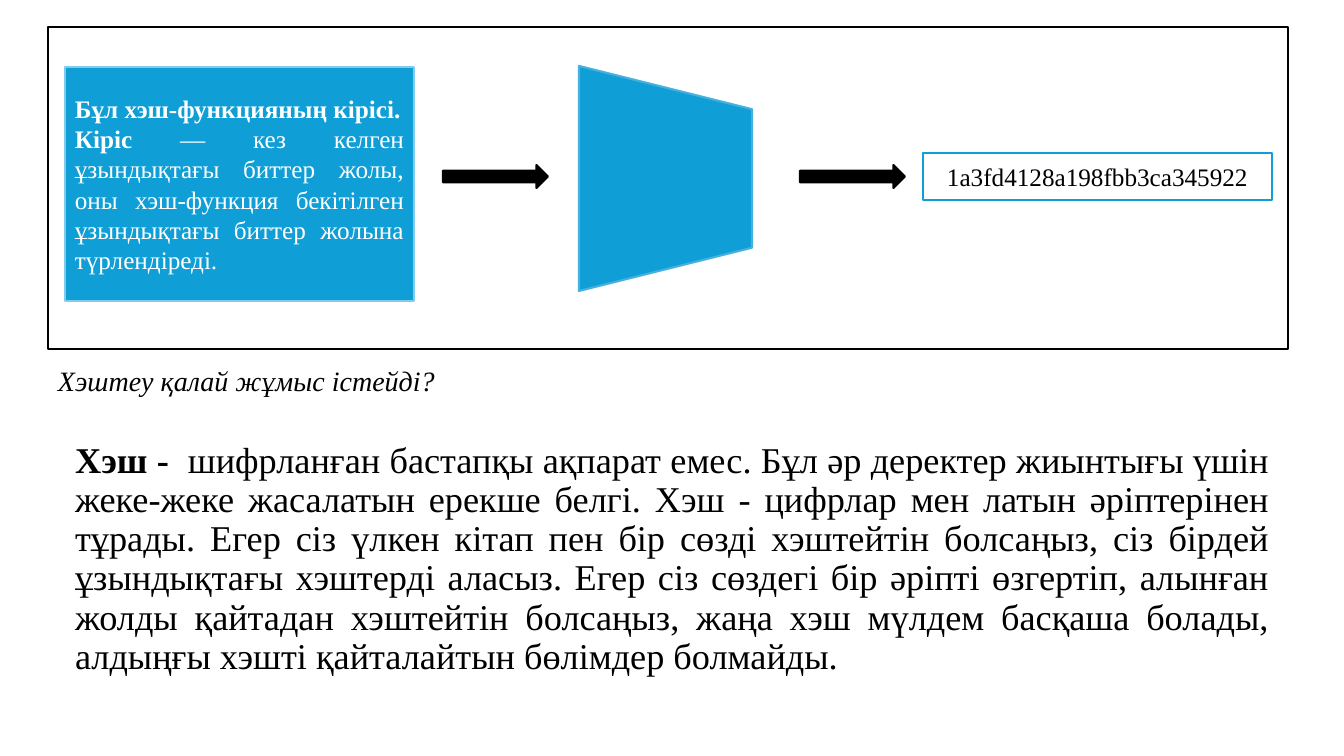
from pptx import Presentation
from pptx.dml.color import RGBColor
from pptx.enum.shapes import MSO_SHAPE as Shape
from pptx.enum.text import MSO_ANCHOR as Anchor, MSO_AUTO_SIZE as AutoSize, PP_ALIGN as Align
from pptx.oxml.ns import qn
from pptx.util import Emu, Pt

PX = 914400 / 100.8
FONT = "Times New Roman"
BLACK = RGBColor(0x00, 0x00, 0x00)
WHITE = RGBColor(0xFF, 0xFF, 0xFF)
BLUE = RGBColor(0x0F, 0x9E, 0xD5)
MID_BLUE = RGBColor(0x46, 0xB1, 0xE1)
PALE_BLUE = RGBColor(0x83, 0xCB, 0xEB)


def px(*lengths):
    return [Emu(round(length * PX)) for length in lengths]


def write(frame, *paragraphs, size=18, color=BLACK, align=Align.LEFT,
          italic=False, anchor=Anchor.TOP):
    """Each paragraph is a pair: bold lead, then regular text."""
    frame.word_wrap = True
    frame.vertical_anchor = anchor
    for number, parts in enumerate(paragraphs):
        paragraph = frame.add_paragraph() if number else frame.paragraphs[0]
        paragraph.alignment = align
        for words, bold in zip(parts, (True, False)):
            if not words:
                continue
            run = paragraph.add_run()
            run.text = words
            font = run.font
            font.name, font.size, font.color.rgb = FONT, Pt(size), color
            font.bold, font.italic = bold, italic


deck = Presentation()
deck.slide_width, deck.slide_height = px(1344, 756)
slide = deck.slides.add_slide(deck.slide_layouts[1])
slide.shapes.title.element.getparent().remove(slide.shapes.title.element)

# Explanation
explanation = slide.placeholders[1]
(explanation.left, explanation.top,
 explanation.width, explanation.height) = px(65, 437, 1215, 264)
explanation.text_frame.auto_size = AutoSize.NONE
write(explanation.text_frame,
      ("Хэш -  ",
       "шифрланған бастапқы ақпарат емес. Бұл әр деректер жиынтығы үшін "
       "жеке-жеке жасалатын ерекше белгі. Хэш - цифрлар мен латын әріптерінен "
       "тұрады. Егер сіз үлкен кітап пен бір сөзді хэштейтін болсаңыз, сіз бірдей "
       "ұзындықтағы хэштерді аласыз. Егер сіз сөздегі бір әріпті өзгертіп, алынған "
       "жолды қайтадан хэштейтін болсаңыз, жаңа хэш мүлдем басқаша болады, "
       "алдыңғы хэшті қайталайтын бөлімдер болмайды."),
      size=25.9, align=Align.JUSTIFY)
explanation_text = explanation.text_frame.paragraphs[0]
explanation_text.line_spacing = 0.9
explanation_text.space_before = Pt(10)
bullet = explanation_text._p.get_or_add_pPr()
bullet.set("marL", "0")
bullet.set("indent", "0")
bullet.append(bullet.makeelement(qn("a:buNone"), {}))

# Hashing diagram: input, arrow, function, arrow, hash, frame
diagram = []
for kind, box, fill, line in (
    (Shape.RECTANGLE, (65, 67, 349, 234), BLUE, PALE_BLUE),
    (Shape.TRAPEZOID, (553, 92, 225, 173), BLUE, MID_BLUE),
    (Shape.RIGHT_ARROW, (443, 165, 105, 23), BLACK, BLACK),
    (Shape.RIGHT_ARROW, (800, 165, 105, 23), BLACK, BLACK),
    (Shape.RECTANGLE, (923, 153, 349, 47), WHITE, BLUE),
    (Shape.RECTANGLE, (48, 27, 1240, 322), None, BLACK),
):
    part = slide.shapes.add_shape(kind, *px(*box))
    part.shadow.inherit = False
    if fill is None:
        part.fill.background()
    else:
        part.fill.solid()
        part.fill.fore_color.rgb = fill
    part.line.color.rgb = line
    part.line.width = Pt(1.5)
    diagram.append(part)

hash_input, hash_function, _, _, hash_value, _ = diagram
hash_function.rotation = 90
write(hash_input.text_frame,
      ("Бұл хэш-функцияның кірісі.", ""),
      ("Кіріс", " — кез келген ұзындықтағы биттер жолы, оны хэш-функция "
                "бекітілген ұзындықтағы биттер жолына түрлендіреді."),
      color=WHITE, align=Align.JUSTIFY, anchor=Anchor.MIDDLE)
hash_input.text_frame.paragraphs[0].alignment = Align.LEFT
write(hash_value.text_frame, ("", "1a3fd4128a198fbb3ca345922"),
      align=Align.CENTER, anchor=Anchor.MIDDLE)

# Caption
caption = slide.shapes.add_textbox(*px(48, 359, 672, 44))
write(caption.text_frame, ("", "Хэштеу қалай жұмыс істейді?"), size=20, italic=True)

deck.save("out.pptx")
